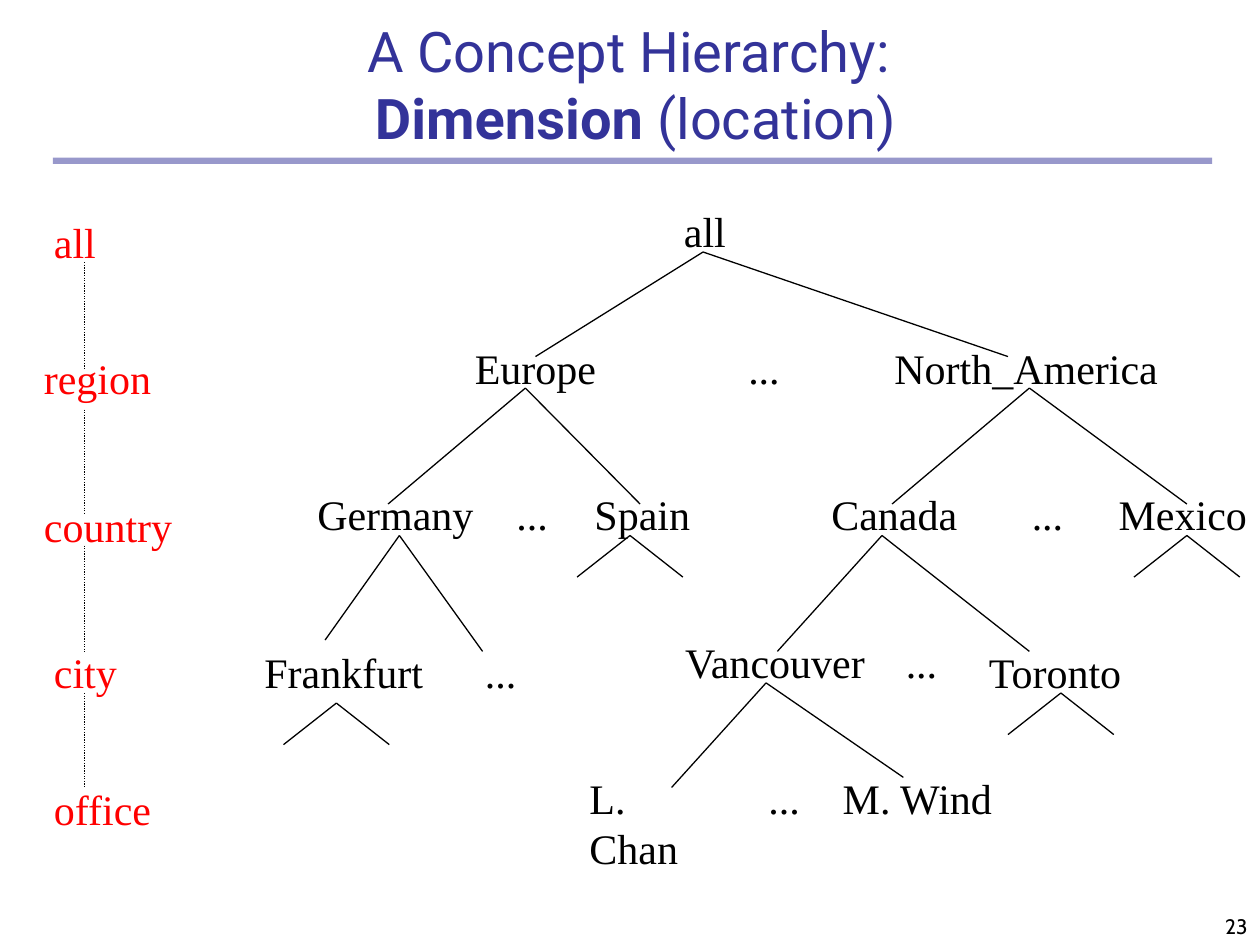
from pptx import Presentation
from pptx.dml.color import RGBColor
from pptx.enum.dml import MSO_LINE_DASH_STYLE as Dash
from pptx.enum.shapes import MSO_CONNECTOR as Connector, MSO_SHAPE as Shape
from pptx.enum.text import MSO_ANCHOR as Anchor, MSO_AUTO_SIZE as AutoSize, PP_ALIGN as Align
from pptx.oxml.ns import qn
from pptx.util import Inches, Pt

NAVY = RGBColor(0x33, 0x33, 0x99)
BLACK = RGBColor(0x00, 0x00, 0x00)
RED = RGBColor(0xFF, 0x00, 0x00)

LEVELS = [
    ("all", 0.33, 1.67, 0.53),
    ("region", 0.25, 2.75, 1.05),
    ("country", 0.25, 3.92, 1.22),
    ("city", 0.33, 5.08, 0.7),
    ("office", 0.33, 6.17, 0.97),
]
LEVEL_LINKS = [(2.08, 2.92), (3.25, 4.08), (4.33, 5.17), (5.5, 6.25)]

NODES = [
    ("all", 5.33, 1.58, 0.53),
    ("Europe", 3.67, 2.67, 1.16),
    ("North_America", 7, 2.67, 2.29),
    ("Germany", 2.42, 3.83, 1.44),
    ("Spain", 4.62, 3.83, 0.96),
    ("Canada", 6.5, 3.83, 1.2),
    ("Mexico", 8.78, 3.83, 1.22),
    ("Frankfurt", 2, 5.08, 1.46),
    ("Vancouver", 5.34, 5, 1.66),
    ("Toronto", 7.75, 5.08, 1.27),
    ("L. Chan", 4.58, 6.08, 1.27),
    ("M. Wind", 6.59, 6.08, 1.4),
]
ELLIPSES = [(5.84, 2.67), (4, 3.83), (8.09, 3.83), (3.75, 5.08), (7.09, 5), (6, 6.08)]

BRANCHES = [
    ((5.58, 2), (4.25, 2.83), (8, 2.83)),
    ((4.17, 3.08), (3.08, 4), (5.08, 4)),
    ((8.17, 3.08), (7.08, 4), (9.42, 4)),
    ((3.17, 4.25), (2.58, 5.08), (3.83, 5.17)),
    ((7, 4.25), (6.17, 5.17), (8.17, 5.17)),
    ((6.08, 5.42), (5.33, 6.25), (7.17, 6.17)),
]
STUBS = [(5, 4.25), (9.42, 4.25), (2.67, 5.58), (8.42, 5.5)]
STUB_WIDTH, STUB_HEIGHT = 0.42, 0.33


class HierarchySlide:
    title_font = "Roboto"
    label_font = "Times New Roman"
    number_font = "Cabin"

    def __init__(self, page):
        self.page = page

    def add_span(self, para, text, font, size, color, bold=False):
        span = para.add_run()
        span.text = text
        span.font.name = font
        span.font.size = Pt(size)
        span.font.bold = bold
        span.font.color.rgb = color

    def title(self, first_line, bold_part, rest):
        box = self.page.shapes.title
        box.left, box.top = Inches(0.67), Inches(0.58)
        box.width, box.height = Inches(8.75), Inches(0.67)
        frame = box.text_frame
        frame.auto_size = AutoSize.NONE
        frame.vertical_anchor = Anchor.BOTTOM
        para = frame.paragraphs[0]
        para.alignment = Align.CENTER
        self.add_span(para, first_line, self.title_font, 32, NAVY)
        para.add_line_break()
        self.add_span(para, bold_part, self.title_font, 32, NAVY, bold=True)
        self.add_span(para, rest, self.title_font, 32, NAVY)

    def rule(self, left, top, width, height):
        bar = self.page.shapes.add_shape(
            Shape.RECTANGLE, Inches(left), Inches(top), Inches(width), Inches(height))
        bar.shadow.inherit = False
        bar.fill.solid()
        bar.fill.fore_color.rgb = NAVY
        bar.line.fill.background()
        color = bar._element.spPr.find(qn("a:solidFill"))[0]
        color.append(color.makeelement(qn("a:alpha"), {"val": "50000"}))

    def label(self, text, left, top, width, color=BLACK):
        box = self.page.shapes.add_textbox(
            Inches(left), Inches(top), Inches(width), Inches(0.5))
        frame = box.text_frame
        frame.word_wrap = False
        frame.auto_size = AutoSize.SHAPE_TO_FIT_TEXT
        self.add_span(frame.paragraphs[0], text, self.label_font, 24, color)

    def line(self, start, end, dash=None):
        link = self.page.shapes.add_connector(
            Connector.STRAIGHT, *map(Inches, start), *map(Inches, end))
        link.line.color.rgb = BLACK
        link.line.width = Pt(0.75)
        if dash:
            link.line.dash_style = dash
        properties = link._element.spPr
        properties.append(properties.makeelement(qn("a:effectLst")))

    def branch(self, apex, *ends):
        for end in ends:
            self.line(apex, end)

    def stub(self, x, y):
        bottom = y + STUB_HEIGHT
        self.branch((x, y), (x - STUB_WIDTH, bottom), (x + STUB_WIDTH, bottom))

    def number(self, text):
        box = self.page.shapes.add_textbox(
            Inches(7.92), Inches(7), Inches(2.08), Inches(0.5))
        frame = box.text_frame
        frame.word_wrap = True
        frame.vertical_anchor = Anchor.BOTTOM
        para = frame.paragraphs[0]
        para.alignment = Align.RIGHT
        self.add_span(para, text, self.number_font, 12, BLACK)


def main():
    deck = Presentation()
    deck.slide_width, deck.slide_height = Inches(10), Inches(7.5)
    slide = HierarchySlide(deck.slides.add_slide(deck.slide_layouts[5]))

    slide.rule(0.42, 1.25, 9.2, 0.05)
    slide.number("23")
    slide.title("A Concept Hierarchy: ", "Dimension", " (location)")
    for node in NODES:
        slide.label(*node)
    for left, top in ELLIPSES:
        slide.label("...", left, top, 0.45)
    for branch in BRANCHES:
        slide.branch(*branch)
    for apex in STUBS:
        slide.stub(*apex)
    for level in LEVELS:
        slide.label(*level, color=RED)
    for top, bottom in LEVEL_LINKS:
        slide.line((0.67, top), (0.67, bottom), Dash.ROUND_DOT)

    deck.save("out.pptx")


if __name__ == "__main__":
    main()
